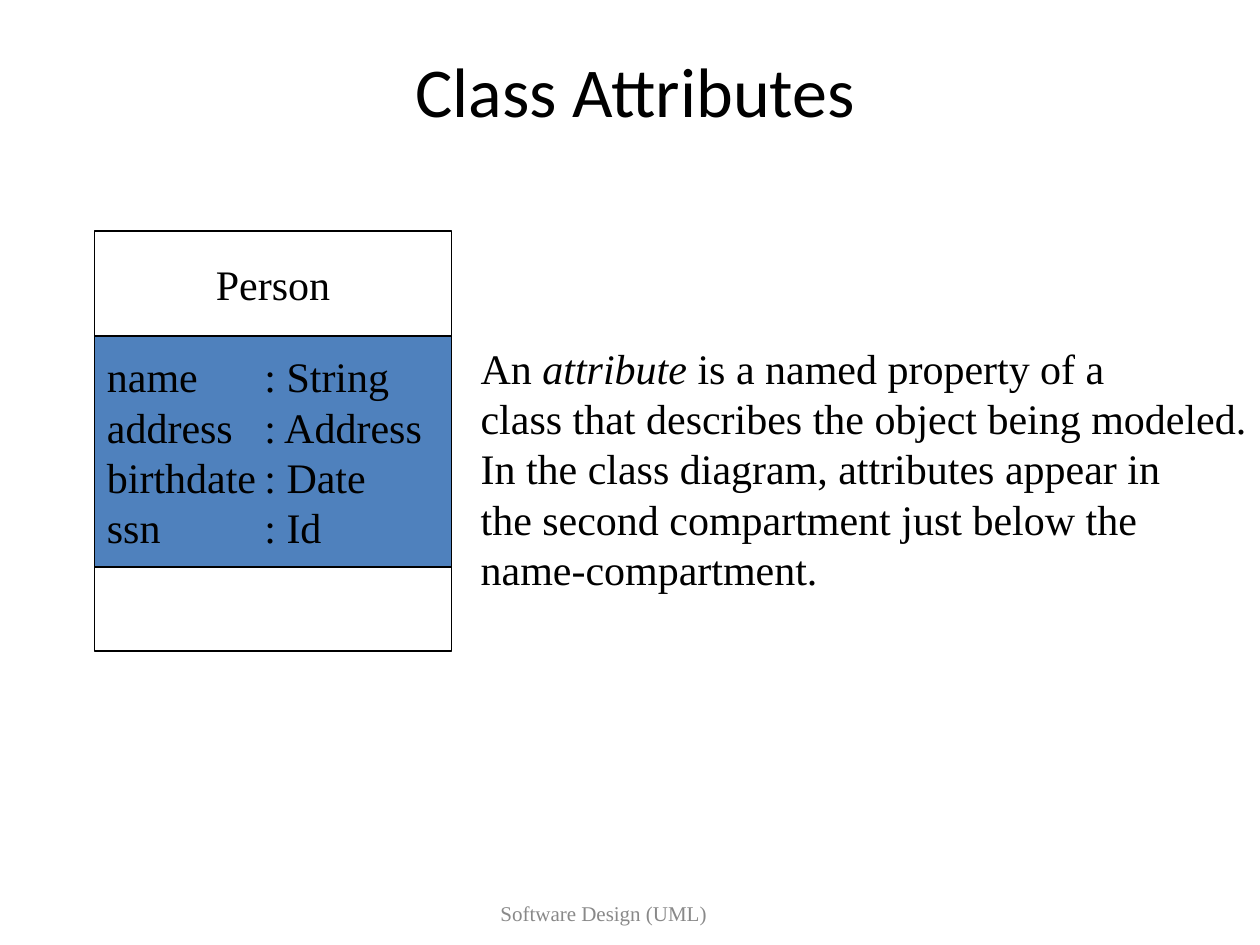
from lxml.etree import SubElement as Sub
from pptx import Presentation
from pptx.dml.color import RGBColor as Rgb
from pptx.enum.shapes import MSO_SHAPE as Shape
from pptx.enum.text import MSO_ANCHOR as Anchor, MSO_AUTO_SIZE as Fit, PP_ALIGN as Align
from pptx.oxml.ns import qn
from pptx.util import Inches, Pt

HUES = {"ink": "000000", "paper": "FFFFFF", "blue": "4F81BD", "grey": "898989"}
WIDE, HIGH = Inches(10), Inches(7.5)
COLS, ROWS = 120, 90  # square grid cells
SERIF = "Times New Roman"
BODY = {"name": SERIF, "size": Pt(24), "italic": False}
STOP = Inches(1.25)  # where the types line up


def hue(key):
    return Rgb.from_string(HUES[key])


def grid(x, y, w, h):
    col, row = WIDE / COLS, HIGH / ROWS
    return [round(n) for n in (x * col, y * row, w * col, h * row)]


def place(part, box):
    part.left, part.top, part.width, part.height = grid(*box)


def style(font, form, ink="ink"):
    for key, val in form.items():
        setattr(font, key, val)
    font.color.rgb = hue(ink)


def write(frame, lines, form, ink="ink", align=Align.LEFT, anchor=Anchor.MIDDLE,
          wrap=True, stop=None):
    """Fill a frame; each line is a list of (text, italic) runs."""
    frame.word_wrap, frame.vertical_anchor = wrap, anchor
    for i, line in enumerate(lines):
        para = frame.paragraphs[0] if i == 0 else frame.add_paragraph()
        para.alignment = align
        if stop:
            tabs = Sub(para._p.get_or_add_pPr(), qn("a:tabLst"))
            Sub(tabs, qn("a:tab"), pos=str(stop), algn="l")
        for text, slant in line:
            run = para.add_run()
            run.text = text
            style(run.font, {**form, "italic": slant}, ink)


def plain(*lines):
    return [[(line, False)] for line in lines]


def head(slide, box):
    title = slide.shapes.title
    place(title, box)
    write(title.text_frame, plain("Class Attributes"),
          {"name": "Calibri", "size": Pt(40)}, align=Align.CENTER)


def model(slide, box):
    """Draw the class as three stacked compartments."""
    x, y, w, h = box
    group = slide.shapes.add_group_shape()
    fields = [("name", "String"), ("address", "Address"),
              ("birthdate", "Date"), ("ssn", "Id")]
    attrs = plain(*(f"{name}\t: {kind}" for name, kind in fields))
    parts = [  # share of height, fill, lines, text options
        (10 / 40, "paper", plain("Person"), {"align": Align.CENTER}),
        (22 / 40, "blue", attrs, {"stop": STOP}),
        (8 / 40, "paper", [], {}),
    ]
    for share, fill, lines, opts in parts:
        cell = group.shapes.add_shape(Shape.RECTANGLE, *grid(x, y, w, h * share))
        cell.shadow.inherit = False
        cell.fill.solid()
        cell.fill.fore_color.rgb = hue(fill)
        cell.line.color.rgb = hue("ink")
        cell.line.width = Pt(0.75)
        write(cell.text_frame, lines, BODY, **opts)
        y += h * share


def note(slide, box):
    frame = slide.shapes.add_textbox(*grid(*box)).text_frame
    first = [("An ", False), ("attribute", True), (" is a named property of a", False)]
    rest = plain("class that describes the object being modeled.",
                 "In the class diagram, attributes appear in",
                 "the second compartment just below the",
                 "name-compartment.")
    write(frame, [first] + rest, BODY, anchor=Anchor.TOP, wrap=False)
    frame.auto_size = Fit.SHAPE_TO_FIT_TEXT


def foot(slide, box):
    frame = slide.shapes.add_textbox(*grid(*box)).text_frame
    write(frame, plain("Software Design (UML)"), {"name": SERIF, "size": Pt(12)},
          ink="grey", align=Align.CENTER)


def main():
    deck = Presentation()
    deck.slide_width, deck.slide_height = WIDE, HIGH
    slide = deck.slides.add_slide(deck.slide_layouts[5])  # title only
    head(slide, (9, 5, 103, 7))
    foot(slide, (31, 84, 53, 6))
    model(slide, (9, 22, 34, 40))
    note(slide, (44.6, 32, 75.4, 25.2))
    deck.save("out.pptx")


if __name__ == "__main__":
    main()
